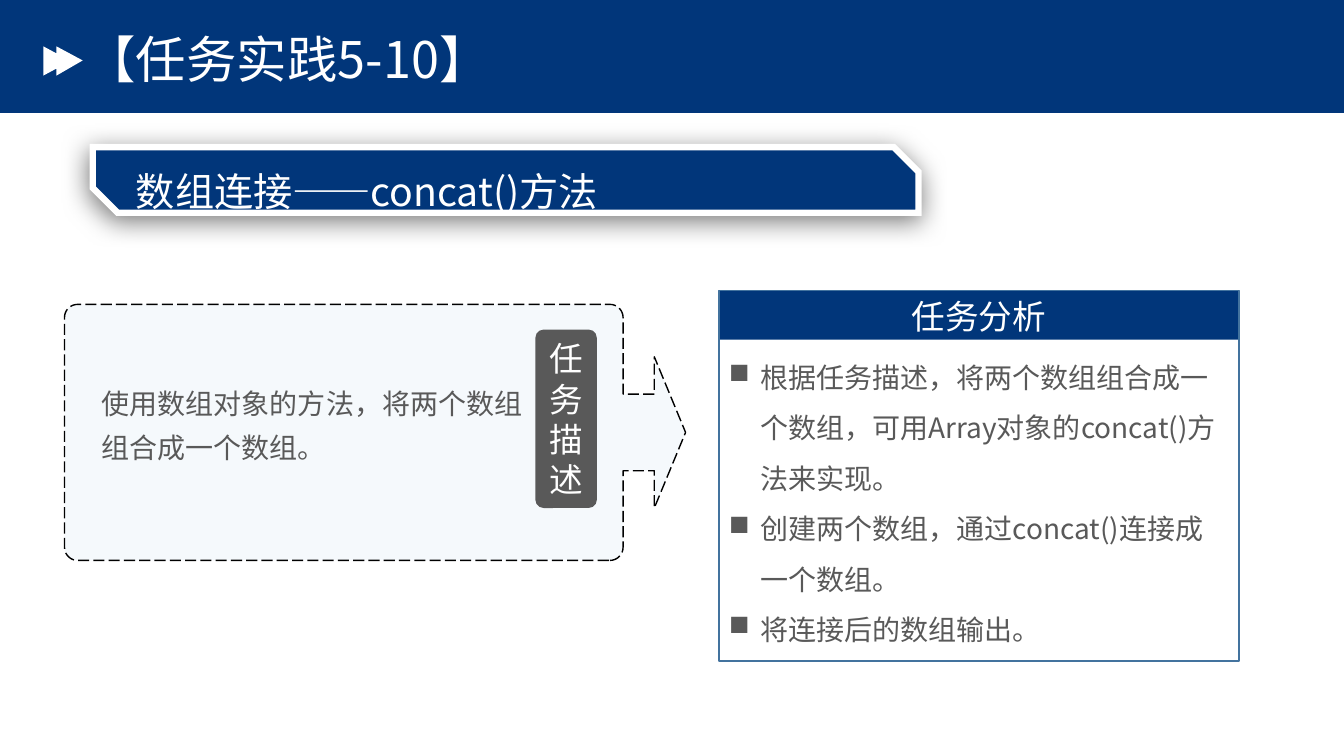
"""Build the task practice slide about joining arrays with concat()."""
from math import cos, radians, sin

from lxml import etree
from pptx import Presentation
from pptx.dml.color import RGBColor
from pptx.enum.dml import MSO_LINE
from pptx.enum.shapes import MSO_SHAPE
from pptx.enum.text import MSO_ANCHOR, PP_ALIGN
from pptx.oxml import parse_xml
from pptx.oxml.ns import nsdecls, qn
from pptx.util import Inches, Pt

NAVY = RGBColor(0x01, 0x36, 0x7A)
WHITE = RGBColor(0xFF, 0xFF, 0xFF)
BLACK = RGBColor(0x00, 0x00, 0x00)
GRAY = RGBColor(0x59, 0x59, 0x59)
PALE_BLUE = RGBColor(0xBD, 0xD7, 0xEE)
FRAME_BLUE = RGBColor(0x43, 0x73, 0x9E)
CJK_FONT = "Noto Sans CJK SC"

presentation = Presentation()
presentation.slide_width = Inches(13.33)
presentation.slide_height = Inches(7.5)
slide = presentation.slides.add_slide(presentation.slide_layouts[6])


def style_shape(shape, fill=None, line=None, width=1):
    shape.shadow.inherit = False
    if fill is None:
        shape.fill.background()
    else:
        shape.fill.solid()
        shape.fill.fore_color.rgb = fill
    if line is None:
        shape.line.fill.background()
    else:
        shape.line.color.rgb = line
        shape.line.width = Pt(width)


def write_text(shape, lines, size, color, font=CJK_FONT, spacing=1.0,
               align=PP_ALIGN.LEFT, anchor=MSO_ANCHOR.TOP, bullet=None):
    frame = shape.text_frame
    frame.word_wrap = True
    frame.vertical_anchor = anchor
    for index, line in enumerate(lines):
        paragraph = frame.paragraphs[0] if index == 0 else frame.add_paragraph()
        paragraph.alignment = align
        paragraph.line_spacing = spacing
        if bullet:
            properties = paragraph._p.get_or_add_pPr()
            properties.set("marL", str(Inches(0.31)))
            properties.set("indent", str(-Inches(0.31)))
            etree.SubElement(properties, qn("a:buChar")).set("char", bullet)
        run = paragraph.add_run()
        run.text = line
        for name, value in {"size": Pt(size), "name": font}.items():
            setattr(run.font, name, value)
        run.font.color.rgb = color
        if font == CJK_FONT:
            east_asian = etree.SubElement(run._r.get_or_add_rPr(), qn("a:ea"))
            east_asian.set("typeface", font)


header = slide.shapes.add_shape(MSO_SHAPE.RECTANGLE, 0, 0, Inches(13.33), Inches(1.12))
style_shape(header, NAVY)

marker_points = [(0.43, 0.46), (0.56, 0.53), (0.56, 0.46), (0.82, 0.6),
                 (0.56, 0.75), (0.56, 0.68), (0.43, 0.75)]

left, top, right, bottom, radius = 0.64, 3.02, 6.18, 5.56, 0.13
arrow_points = [(right, 4.67), (6.49, 4.67), (6.49, 5.04), (6.8, 4.29),
                (6.49, 3.54), (6.49, 3.91), (right, 3.91)]
corners = [(right - radius, bottom - radius, 90), (right - radius, top + radius, 0),
           (left + radius, top + radius, -90), (left + radius, bottom - radius, -180)]
callout_points = []
for index, (x, y, start) in enumerate(corners):
    for step in range(0, 91, 10):
        angle = radians(start - step)
        callout_points.append((x + radius * cos(angle), y + radius * sin(angle)))
    if index == 0:
        callout_points += arrow_points

outlines = []
for points in (marker_points, callout_points):
    vertices = [(Inches(x), Inches(y)) for x, y in points]
    builder = slide.shapes.build_freeform(*vertices[0])
    builder.add_line_segments(vertices[1:], close=True)
    outlines.append(builder.convert_to_shape())
marker, callout = outlines
style_shape(marker, WHITE)
style_shape(callout, PALE_BLUE, BLACK)
callout.line.dash_style = MSO_LINE.LONG_DASH
fill_color = callout._element.spPr.find(qn("a:solidFill"))[0]
etree.SubElement(fill_color, qn("a:alpha")).set("val", "15000")

banner = slide.shapes.add_shape(MSO_SHAPE.SNIP_2_DIAG_RECTANGLE, Inches(0.92), Inches(1.46),
                                Inches(8.19), Inches(0.65))
banner.adjustments[0] = 0
banner.adjustments[1] = 0.378
style_shape(banner, NAVY, WHITE, 4.5)
etree.SubElement(banner._element.spPr.find(qn("a:ln")), qn("a:miter")).set("lim", "800000")
effects = banner._element.spPr.find(qn("a:effectLst"))
effects.append(parse_xml(
    f'<a:outerShdw {nsdecls("a")} blurRad="{Pt(19)}" dist="{Pt(4)}" dir="{112 * 60000}" '
    'algn="tl" rotWithShape="0"><a:srgbClr val="000000"><a:alpha val="51000"/>'
    '</a:srgbClr></a:outerShdw>'))

label = slide.shapes.add_shape(MSO_SHAPE.ROUNDED_RECTANGLE, Inches(5.31), Inches(3.27),
                               Inches(0.61), Inches(1.77))
label.adjustments[0] = 0.133
style_shape(label, GRAY)
write_text(label, ["任务描述"], 24, WHITE, font="Calibri",
           align=PP_ALIGN.CENTER, anchor=MSO_ANCHOR.MIDDLE)

for height, fill, line in ((0.49, NAVY, None), (3.68, None, FRAME_BLUE)):
    panel = slide.shapes.add_shape(MSO_SHAPE.RECTANGLE, Inches(7.13), Inches(2.88),
                                   Inches(5.16), Inches(height))
    style_shape(panel, fill, line)

analysis = [
    "根据任务描述，将两个数组组合成一个数组，可用Array对象的concat()方法来实现。",
    "创建两个数组，通过concat()连接成一个数组。",
    "将连接后的数组输出。",
]
text_boxes = [
    ((0.75, 0.34, 6.58, 0.56), ["【任务实践5-10】"], 36, WHITE,
     {"spacing": 0.9, "anchor": MSO_ANCHOR.MIDDLE}),
    ((1.25, 1.47, 7.4, 0.7), ["数组连接——concat()方法"], 28, WHITE, {"spacing": 1.3}),
    ((0.91, 3.69, 4.4, 0.93), ["使用数组对象的方法，将两个数组组合成一个数组。"], 20, GRAY,
     {"spacing": 1.3}),
    ((7.13, 2.89, 5.16, 0.44), ["任务分析"], 24, WHITE, {"align": PP_ALIGN.CENTER}),
    ((7.13, 3.36, 5.16, 3.08), analysis, 20, GRAY, {"spacing": 1.5, "bullet": "■"}),
]
for box, lines, size, color, options in text_boxes:
    text_box = slide.shapes.add_textbox(*map(Inches, box))
    write_text(text_box, lines, size, color, **options)

presentation.save("out.pptx")
